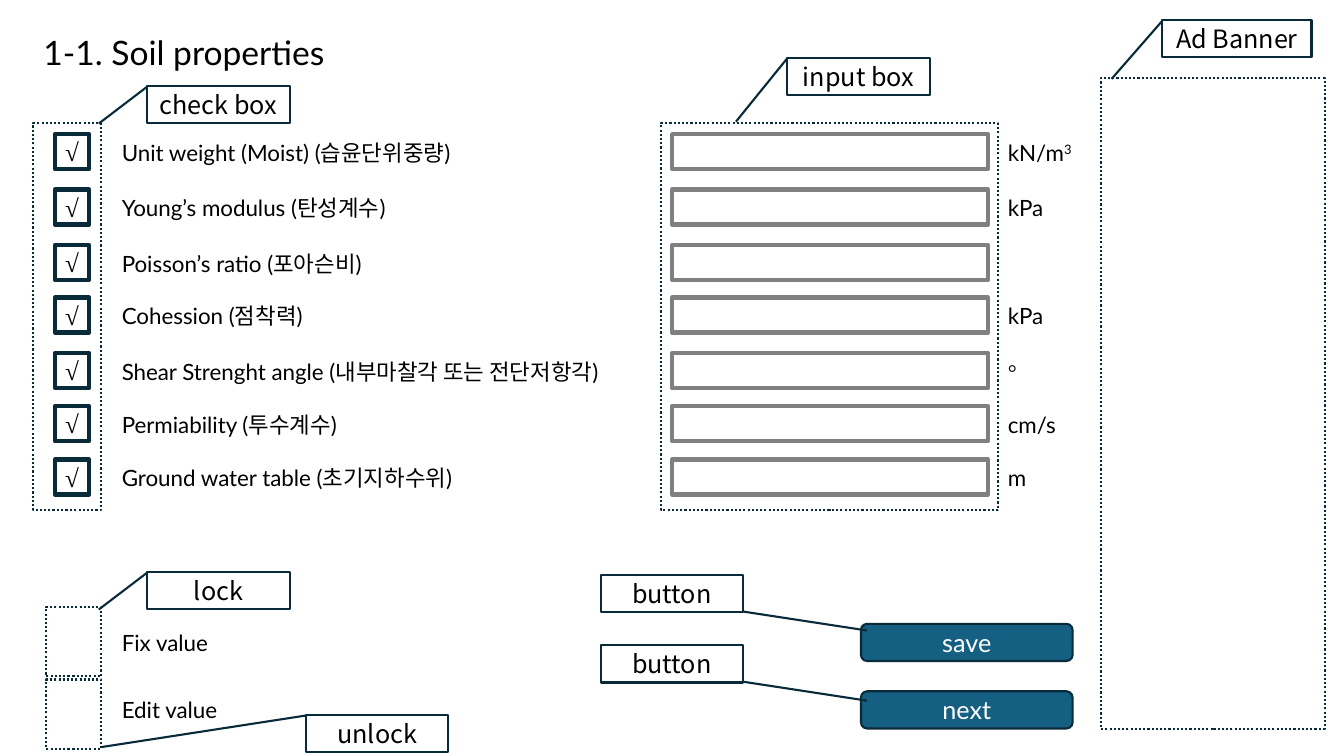
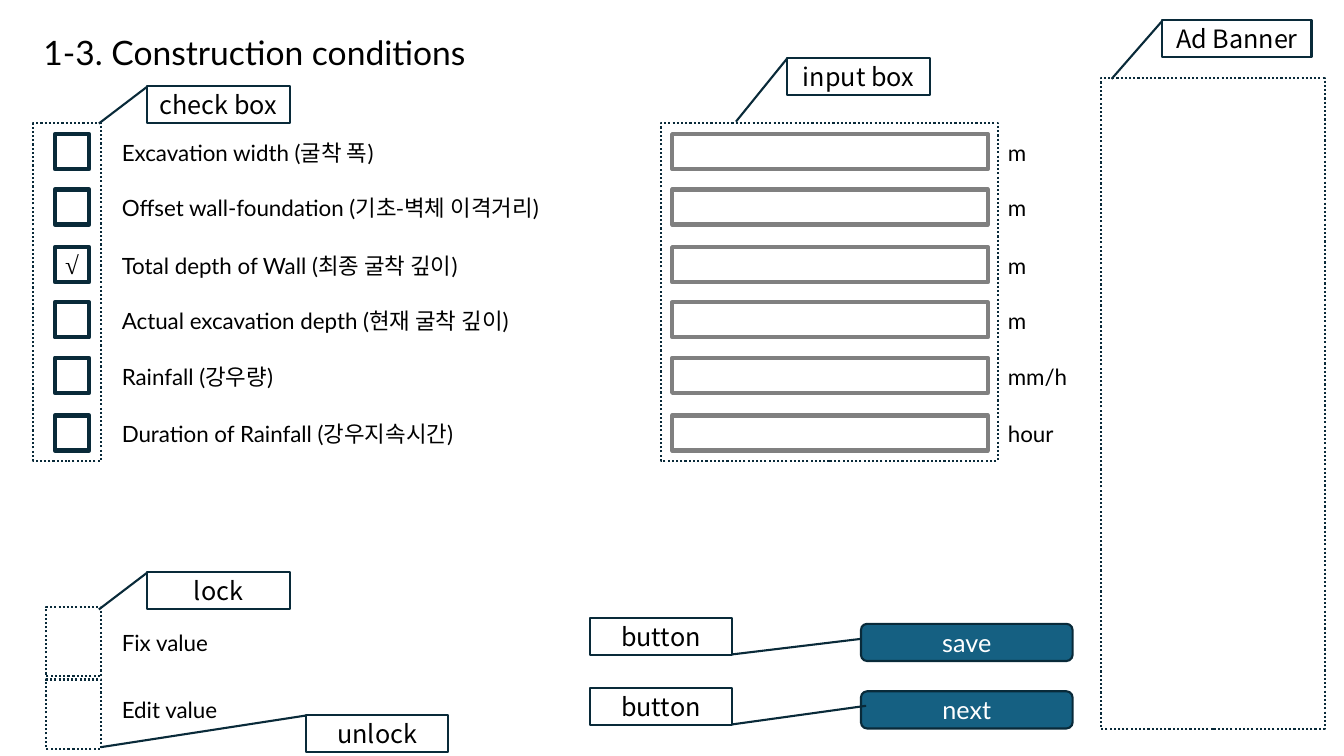
"""Build two annotated input-form wireframe slides."""
from dataclasses import dataclass

from lxml.etree import SubElement
from pptx import Presentation
from pptx.dml.color import RGBColor
from pptx.enum.dml import MSO_LINE
from pptx.enum.shapes import MSO_SHAPE
from pptx.enum.text import MSO_ANCHOR, MSO_AUTO_SIZE, PP_ALIGN
from pptx.oxml.ns import qn
from pptx.util import Pt

LATIN, KOREAN, SYMBOL = "Lato", "Noto Sans CJK KR", "Times New Roman"
BLACK, WHITE, NAVY, GRAY, BLUE = "000000", "FFFFFF", "092A39", "808080", "156082"
FIELD_HEIGHT, LABEL_HEIGHT, LABEL_LEFT = 25, 26.6, 79.9
FRAME_TOP = 88
BUTTON_TOPS = (445.6, 493.8)


@dataclass(frozen=True)
class Box:
    """Position and size in points."""
    left: float
    top: float
    width: float
    height: float


@dataclass(frozen=True)
class Field:
    """One row of the form."""
    top: float
    label: str
    korean: str
    unit: str = ""
    checked: bool = False
    superscript: str = ""
    unit_font: str = LATIN


@dataclass(frozen=True)
class Callout:
    """A boxed caption whose line runs from start to tip, each as (y, x) ratios."""
    text: str
    left: float
    top: float
    tip: tuple[float, float]
    start: tuple[float, float] = (0.02, 0)
    width: float = 101.8


@dataclass(frozen=True)
class Form:
    """The content of one slide."""
    title: str
    frame_height: float
    fields: tuple[Field, ...]
    button_callouts: tuple[Callout, ...]


BUTTON_START = (0.98, 1)
SHARED_CALLOUTS = (
    Callout("check box", 105.2, 61.4, (1.01, -0.34)),
    Callout("input box", 562.3, 41.2, (1.72, -0.36)),
    Callout("lock", 105.2, 408.5, (1.01, -0.34)),
    Callout("unlock", 218.5, 510.6, (0.87, -1.44)),
    Callout("Ad Banner", 830.2, 14.4, (1.58, -0.34), width=106.6),
)
SHARED_FRAMES = (
    Box(33, 433.6, 39.4, 49.6),
    Box(33, 485.4, 39.4, 49.6),
    Box(786.2, 56, 160, 464.6),
)
FORMS = (
    Form("1-1. Soil properties", 276.5, (
        Field(95.8, "Unit weight (Moist)", "습윤단위중량", "kN/m", True, "3"),
        Field(135.4, "Young’s modulus", "탄성계수", "kPa", True),
        Field(175, "Poisson’s ratio", "포아슨비", checked=True),
        Field(212.6, "Cohession", "점착력", "kPa", True),
        Field(252.2, "Shear Strenght angle", "내부마찰각 또는 전단저항각", "°", True,
              unit_font=SYMBOL),
        Field(290.2, "Permiability", "투수계수", "cm/s", True),
        Field(328.3, "Ground water table", "초기지하수위", "m", True),
    ), (
        Callout("button", 429, 410.8, (1.49, 1.87), BUTTON_START),
        Callout("button", 429, 460.9, (1.49, 1.87), BUTTON_START),
    )),
    Form("1-3. Construction conditions", 241.2, (
        Field(95.8, "Excavation width", "굴착 폭", "m"),
        Field(135.4, "Offset wall-foundation", "기초-벽체 이격거리", "m"),
        Field(176.6, "Total depth of Wall", "최종 굴착 깊이", "m", True),
        Field(216, "Actual excavation depth", "현재 굴착 깊이", "m"),
        Field(255.6, "Rainfall", "강우량", "mm/h"),
        Field(296.8, "Duration of Rainfall", "강우지속시간", "hour"),
    ), (
        Callout("button", 421.2, 441.4, (0.56, 1.91), BUTTON_START),
        Callout("button", 421.2, 491.4, (0.48, 1.94), BUTTON_START),
    )),
)


def color(value: str) -> RGBColor:
    """Return the colour for a hex string."""
    return RGBColor.from_string(value)


def add_run(paragraph, text: str, *, size: float = 16, font: str = LATIN,
            fill: str = BLACK, superscript: bool = False) -> None:
    """Append formatted text to a paragraph."""
    run = paragraph.add_run()
    run.text = text
    run.font.size = Pt(size)
    run.font.color.rgb = color(fill)
    run.font.name = font
    properties = run._r.get_or_add_rPr()
    SubElement(properties, qn("a:ea")).set("typeface", font)
    if superscript:
        properties.set("baseline", "30000")


def add_box(slide, box: Box, *, preset=MSO_SHAPE.RECTANGLE, fill: str | None = None,
            line: str = NAVY, weight: float = 1.5, dotted: bool = False,
            text: str = "", font: str = KOREAN, text_fill: str = BLACK):
    """Draw an outlined shape with optional centred text."""
    shape = slide.shapes.add_shape(
        preset, Pt(box.left), Pt(box.top), Pt(box.width), Pt(box.height))
    shape.shadow.inherit = False
    if fill:
        shape.fill.solid()
        shape.fill.fore_color.rgb = color(fill)
    else:
        shape.fill.background()
    shape.line.color.rgb = color(line)
    shape.line.width = Pt(weight)
    if dotted:
        shape.line.dash_style = MSO_LINE.ROUND_DOT
    if text:
        frame = shape.text_frame
        frame.margin_left = frame.margin_right = 0
        frame.vertical_anchor = MSO_ANCHOR.MIDDLE
        paragraph = frame.paragraphs[0]
        paragraph.alignment = PP_ALIGN.CENTER
        add_run(paragraph, text, size=18, font=font, fill=text_fill)
    return shape


def add_label(slide, left: float, top: float, width: float):
    """Add a justified text box and return its paragraph."""
    label = slide.shapes.add_textbox(Pt(left), Pt(top), Pt(width), Pt(LABEL_HEIGHT))
    label.text_frame.word_wrap = True
    paragraph = label.text_frame.paragraphs[0]
    paragraph.alignment = PP_ALIGN.JUSTIFY
    return paragraph


def add_title(slide, text: str) -> None:
    """Place and fill the title placeholder."""
    title = slide.shapes.title
    title.left, title.top, title.width, title.height = Pt(23.8), Pt(19.4), Pt(456.5), Pt(36)
    frame = title.text_frame
    frame.word_wrap = True
    frame.auto_size = MSO_AUTO_SIZE.NONE
    frame.vertical_anchor = MSO_ANCHOR.TOP
    frame.paragraphs[0].alignment = PP_ALIGN.JUSTIFY
    add_run(frame.paragraphs[0], text, size=24)


def add_field(slide, field: Field) -> None:
    """Draw a check box, label, input box and unit."""
    add_box(slide, Box(39.2, field.top, 24.5, FIELD_HEIGHT), weight=3,
            text="√" if field.checked else "", font=SYMBOL)
    label = add_label(slide, LABEL_LEFT, field.top, 400)
    add_run(label, f"{field.label} (")
    add_run(label, field.korean, font=KOREAN)
    add_run(label, ")")
    add_box(slide, Box(480.2, field.top, 225.4, FIELD_HEIGHT), line=GRAY, weight=3)
    if field.unit:
        unit = add_label(slide, 712.8, field.top, 107)
        add_run(unit, field.unit, font=field.unit_font)
        if field.superscript:
            add_run(unit, field.superscript, superscript=True)


def add_callout(slide, callout: Callout) -> None:
    """Draw a caption box with its pointer line."""
    shape = add_box(slide, Box(callout.left, callout.top, callout.width, LABEL_HEIGHT),
                    preset=MSO_SHAPE.LINE_CALLOUT_1, text=callout.text)
    for index, ratio in enumerate(callout.start + callout.tip):
        shape.adjustments[index] = ratio


def add_form(presentation, form: Form) -> None:
    """Add one form slide."""
    slide = presentation.slides.add_slide(presentation.slide_layouts[5])
    add_title(slide, form.title)
    for field in form.fields:
        add_field(slide, field)
    for top, option, button in zip(BUTTON_TOPS, ("Fix value", "Edit value"), ("save", "next")):
        add_run(add_label(slide, LABEL_LEFT, top, 400), option)
        add_box(slide, Box(615, top, 151.2, LABEL_HEIGHT), preset=MSO_SHAPE.ROUNDED_RECTANGLE,
                fill=BLUE, text=button, font=LATIN, text_fill=WHITE)
    column_frames = (Box(23.8, FRAME_TOP, 48.4, form.frame_height),
                     Box(472.3, FRAME_TOP, 240.5, form.frame_height))
    for box in column_frames + SHARED_FRAMES:
        add_box(slide, box, dotted=True)
    for callout in SHARED_CALLOUTS + form.button_callouts:
        add_callout(slide, callout)


def main() -> None:
    """Build and save the presentation."""
    presentation = Presentation()
    presentation.slide_width, presentation.slide_height = Pt(960), Pt(540)
    for form in FORMS:
        add_form(presentation, form)
    presentation.save("out.pptx")


if __name__ == "__main__":
    main()
